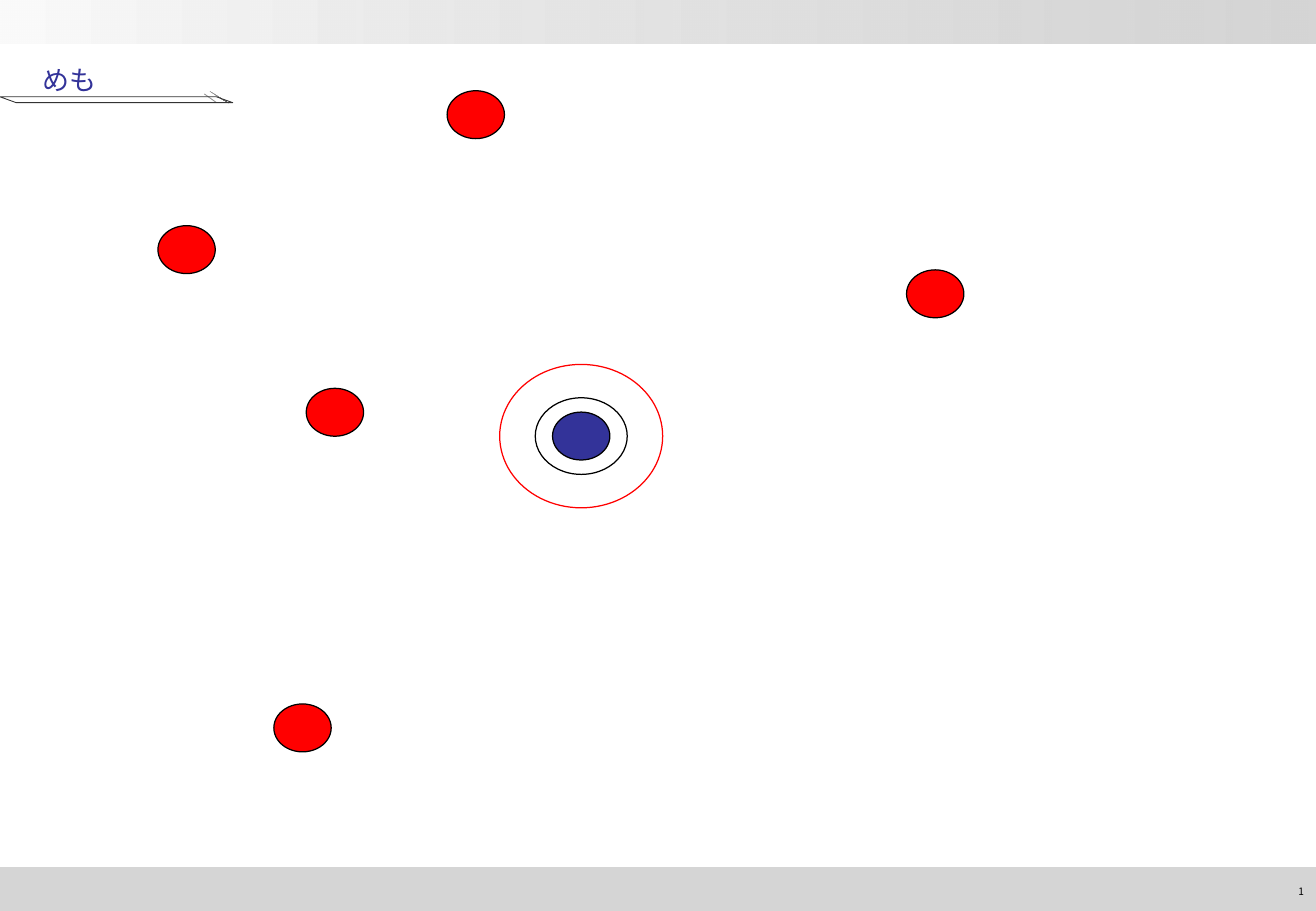
from pptx import Presentation
from pptx.dml.color import RGBColor
from pptx.enum import shapes, text
from pptx.oxml import parse_xml
from pptx.oxml.ns import nsdecls, qn
from pptx.util import Pt

BLACK = RGBColor(0, 0, 0)
RED = RGBColor(0xFF, 0, 0)
NAVY = RGBColor(0x33, 0x33, 0x99)
SILVER = RGBColor(0xC0, 0xC0, 0xC0)
PALE = RGBColor(0xFA, 0xFA, 0xFA)
LIGHT = RGBColor(0xDF, 0xDF, 0xDF)
DARK = RGBColor(0x29, 0x29, 0x29)
GREY = RGBColor(0x80, 0x80, 0x80)
MID = RGBColor(0x96, 0x96, 0x96)
COAL = RGBColor(0x33, 0x33, 0x33)

WIDE, HIGH, BAR = 780, 540, 26
KIND = shapes.MSO_SHAPE


def draw(home, kind, box, fill=None, line=None, width=0.75):
    """Add a shape; fill is None, one colour or a pair for a gradient."""
    shape = home.shapes.add_shape(kind, *map(Pt, box))
    shape.shadow.inherit = False
    if fill is None:
        shape.fill.background()
    elif isinstance(fill, RGBColor):
        shape.fill.solid()
        shape.fill.fore_color.rgb = fill
    else:
        shape.fill.gradient()
        shape.fill.gradient_angle = 0
        for stop, color in zip(shape.fill.gradient_stops, fill):
            stop.color.rgb = color
    if line is None:
        shape.line.fill.background()
    else:
        shape.line.color.rgb = line
        shape.line.width = Pt(width)
    return shape


def write(shape, words, font, size, color, align=text.PP_ALIGN.LEFT):
    frame = shape.text_frame
    frame.word_wrap = True
    frame.vertical_anchor = text.MSO_ANCHOR.MIDDLE
    para = frame.paragraphs[0]
    para.alignment = align
    run = para.add_run()
    run.text = words
    run.font.name, run.font.size = font, Pt(size)
    run.font.color.rgb = color


def fade(shape, share):
    """Make the last fill colour of a shape partly clear."""
    color = list(shape._element.spPr.iter(qn("a:srgbClr")))[-1]
    color.append(parse_xml(f'<a:alpha {nsdecls("a")} val="{share * 1000}"/>'))


def bars(slide, left, top, wide, high):
    head = draw(slide, KIND.RECTANGLE, (left, top, wide, BAR), (PALE, SILVER))
    base = top + high - BAR
    foot = draw(slide, KIND.RECTANGLE, (left, base, wide, BAR), SILVER)
    for bar in (head, foot):
        fade(bar, 66)
    page = slide.shapes.add_textbox(
        Pt(left + wide - 61), Pt(base + 6), Pt(61), Pt(16.5))
    write(page, "1", "Noto Sans CJK JP", 6, BLACK, text.PP_ALIGN.RIGHT)


def heading(slide, left, top, wide, high):
    title = slide.shapes.title
    title.left, title.top = Pt(left + 18), Pt(top)
    title.width, title.height = Pt(wide), Pt(high)
    write(title, "めも", "Arial", 16, NAVY)

    # Slanted rule with two ticks at its tip
    group = slide.shapes.add_group_shape()
    for x, y, w, h, slant, fill, line, width in (
            (124.5, 18.2, 11, 7, 2.65, (LIGHT, DARK), GREY, 0.25),
            (121.2, 19.8, 7, 5, 2.72, SILVER, MID, 0.5),
            (0, 21.4, 138, 3.5, 2.77, None, COAL, 0.5)):
        part = draw(group, KIND.PARALLELOGRAM, (left + x, top + y, w, h),
                    fill, line, width)
        part.adjustments[0] = slant
        part._element.spPr.xfrm.set("flipV", "1")


def disc(home, x, y, wide, high, fill=None, line=BLACK):
    """Add an ellipse around a centre."""
    draw(home, KIND.OVAL, (x - wide / 2, y - high / 2, wide, high), fill, line)


def field(slide, left, top, wide, high):
    # Scattered dots, by centre
    size = 34, 28.4
    for x, y in ((282, 68), (110.6, 148), (179.3, 431.5),
                 (554.3, 174.2), (198.5, 244.4)):
        disc(slide, left + x, top + y, *size, RED)

    # Target: core and outer ring as one group, then the inner ring
    x, y = left + 344.5, top + 258.5
    group = slide.shapes.add_group_shape()
    disc(group, x, y, *size, NAVY)
    disc(group, x, y, 96.6, 85, line=RED)
    disc(slide, x, y, 54.5, 45.4)


deck = Presentation()
deck.slide_width, deck.slide_height = Pt(WIDE), Pt(HIGH)
memo = deck.slides.add_slide(deck.slide_layouts.get_by_name("Title Only"))
bars(memo, 0, 0, WIDE, HIGH)
heading(memo, 0, 36, 264, 22.5)
field(memo, 0, 0, WIDE, HIGH)
deck.save("out.pptx")
